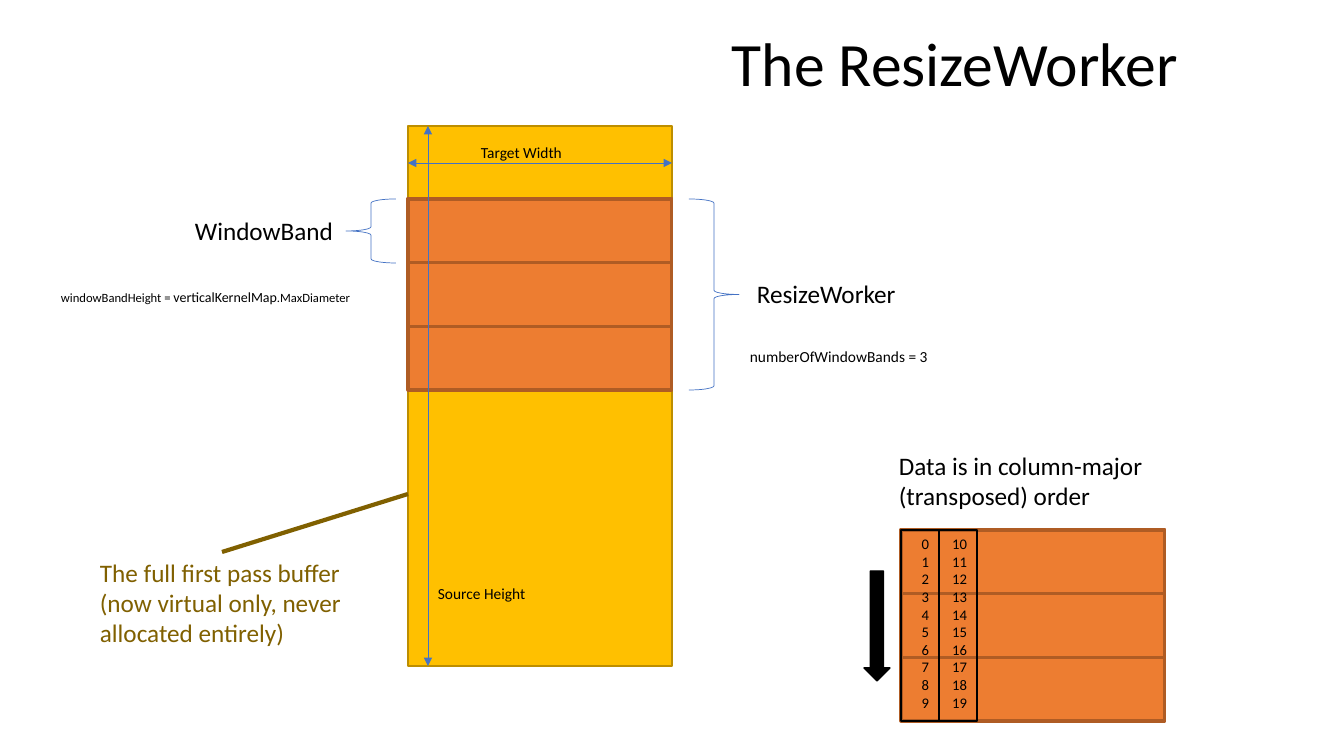
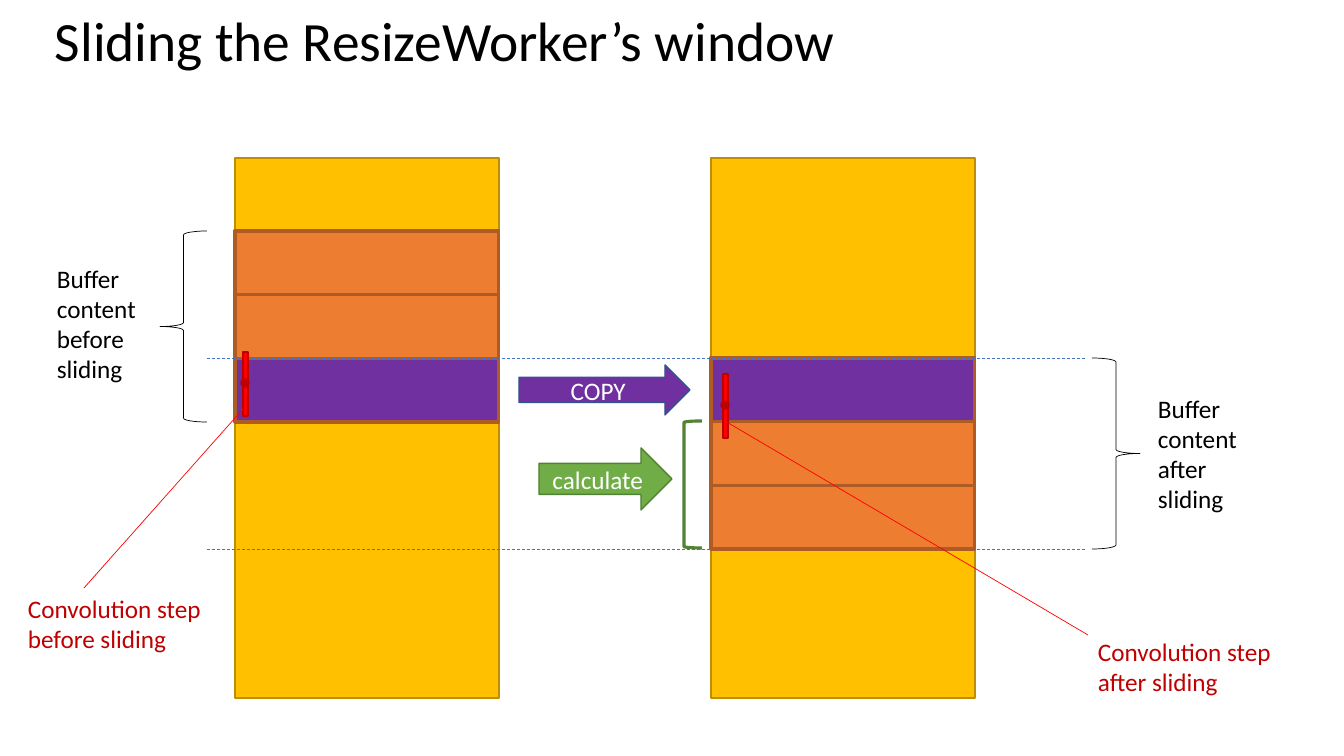
"""Build two slides that explain the ResizeWorker and its sliding window."""
from lxml.etree import SubElement
from pptx import Presentation
from pptx.dml.color import RGBColor
from pptx.enum.dml import MSO_LINE
from pptx.enum.shapes import MSO_CONNECTOR, MSO_SHAPE as Kind
from pptx.enum.text import MSO_ANCHOR as Anchor, MSO_AUTO_SIZE as Fit, PP_ALIGN as Align
from pptx.oxml.ns import qn
from pptx.util import Pt

SCALE = 914400 / 100.8
FONT = "Calibri"
BLACK, WHITE, RED, DARK_RED = "000000", "FFFFFF", "FF0000", "C00000"
GOLD, GOLD_EDGE, BROWN = "FFC000", "BD8E00", "806000"
ORANGE, ORANGE_EDGE, PURPLE = "ED7D31", "AF5C24", "7030A0"
BLUE, BLUE_EDGE = "4472C4", "325491"
GREEN, GREEN_EDGE, BRACKET_GREEN = "70AD47", "538035", "548235"

BUFFER_W, BUFFER_H, WINDOW_H = 264, 540, 191
BANDS = 3

WORKER_TITLE = ("The ResizeWorker", (722, 7, 587, 119), 44)
WORKER_BUFFER = (408, 126)
WORKER_WINDOW_Y = 199
WORKER_BRACES = [
    (Kind.RIGHT_BRACE, (689, 199, 50, WINDOW_H), BLUE, 0.5),
    (Kind.LEFT_BRACE, (346, 199, 50, 64), BLUE, 0.5),
]
WORKER_ARROWS = [((408, 163), (672, 163)), ((428, 126), (428, 666))]
WORKER_LABELS = [
    ([("ResizeWorker", 18)], (747, 273, 160, 40), BLACK, False),
    ([("WindowBand", 18)], (185, 210, 160, 40), BLACK, False),
    ([("Target Width", 11)], (471, 138, 103, 29), BLACK, False),
    ([("Source Height", 11)], (428, 579, 109, 29), BLACK, False),
    ([("numberOfWindowBands = 3", 11)], (740, 342, 200, 29), BLACK, False),
    ([("windowBandHeight = ", 9), ("verticalKernelMap", 10), (".MaxDiameter", 9)],
     (51, 284, 313, 27), BLACK, False),
    ([("Data is in column-major (transposed) order", 18)], (889, 445, 299, 72), BLACK, True),
    ([("The full first pass buffer\n(now virtual only, never allocated entirely)", 18)],
     (90, 552, 264, 102), BROWN, True),
]
BUFFER_POINTER = ((222, 552), (408, 494))
DATA_WINDOW = (901, 530)
DATA_COLUMNS, DATA_ROWS, DATA_COLUMN_W = 2, 10, 38
DATA_ARROW = (864, 571, 26, 110)

SLIDING_TITLE = ("Sliding the ResizeWorker’s window", (45, 8, 1159, 72), 39.6)
SLIDING_BUFFERS = [
    ((235, 158), 231, [ORANGE, ORANGE, PURPLE]),
    ((711, 158), 358, [PURPLE, ORANGE, ORANGE]),
]
GUIDES = [((207, y), (1085, y)) for y in (358, 549)]
SLIDING_BRACES = [
    (Kind.LEFT_BRACE, (160, 231, 47, WINDOW_H), BLACK, 0.5),
    (Kind.RIGHT_BRACE, (1092, 358, 48, WINDOW_H), BLACK, 0.5),
    (Kind.LEFT_BRACKET, (684, 421, 18, 127), BRACKET_GREEN, 2.25),
]
STEP_ARROWS = [
    ("COPY", (519, 365, 171, 50), PURPLE, BLUE_EDGE),
    ("calculate", (539, 448, 133, 62), GREEN, GREEN_EDGE),
]
KERNELS = [(243, 352), (723, 374)]
KERNEL_POINTERS = [((243, 409), (84, 588)), ((1088, 635), (725, 421))]
SLIDING_LABELS = [
    ([("Buffer content before sliding", 18)], (47, 258, 130, 132), BLACK, True),
    ([("Buffer content after sliding", 18)], (1148, 388, 130, 132), BLACK, True),
    ([("Convolution step before sliding", 18)], (18, 588, 214, 72), DARK_RED, True),
    ([("Convolution step after sliding", 18)], (1088, 631, 201, 72), DARK_RED, True),
]


def px(*lengths):
    return [round(length * SCALE) for length in lengths]


def rgb(colour):
    return RGBColor.from_string(colour)


def write(box, spans, colour, align=Align.LEFT, anchor=Anchor.TOP):
    frame = box.text_frame
    frame.vertical_anchor = anchor
    para = frame.paragraphs[0]
    para.alignment = align
    if len(spans) == 1:
        para.text = spans[0][0]
        sizes = [spans[0][1]] * len(para.runs)
    else:
        for text, _ in spans:
            para.add_run().text = text
        sizes = [size for _, size in spans]
    for span, size in zip(para.runs, sizes):
        span.font.name = FONT
        span.font.size = Pt(size)
        span.font.color.rgb = rgb(colour)
    return para


def add_label(shapes, spans, area, colour, wrap):
    box = shapes.add_textbox(*px(*area))
    box.text_frame.word_wrap = wrap
    box.text_frame.auto_size = Fit.SHAPE_TO_FIT_TEXT
    write(box, spans, colour)


def add_title(shapes, text, area, size):
    box = shapes.add_textbox(*px(*area))
    box.text_frame.word_wrap = True
    write(box, [(text, size)], BLACK, anchor=Anchor.MIDDLE).line_spacing = 0.9


def add_figure(shapes, kind, area, fill, edge, width):
    figure = shapes.add_shape(kind, *px(*area))
    figure.shadow.inherit = False
    if fill:
        figure.fill.solid()
        figure.fill.fore_color.rgb = rgb(fill)
    else:
        figure.fill.background()
    figure.line.color.rgb = rgb(edge)
    figure.line.width = Pt(width)
    return figure


def add_line(shapes, start, end, colour, width=0.5, dashed=False, arrows=False):
    line = shapes.add_connector(MSO_CONNECTOR.STRAIGHT, *px(*start, *end))
    line.line.color.rgb = rgb(colour)
    line.line.width = Pt(width)
    if dashed:
        line.line.dash_style = MSO_LINE.DASH
    if arrows:
        for tag in ("a:headEnd", "a:tailEnd"):
            SubElement(line.line._get_or_add_ln(), qn(tag), type="triangle")
    SubElement(line._element.spPr, qn("a:effectLst"))


def add_buffer(shapes, corner):
    add_figure(shapes, Kind.RECTANGLE, (*corner, BUFFER_W, BUFFER_H), GOLD, GOLD_EDGE, 1)


def add_window(shapes, x, y, colours):
    group = shapes.add_group_shape().shapes
    band_h = WINDOW_H / BANDS
    areas = [(x, y, BUFFER_W, WINDOW_H)]
    areas += [(x, y + band * band_h, BUFFER_W, band_h) for band in range(BANDS - 1)]
    for area, colour in zip(areas, [colours[-1], *colours]):
        add_figure(group, Kind.RECTANGLE, area, colour, ORANGE_EDGE, 2.25)
    return group


def add_kernel(shapes, x, y):
    group = shapes.add_group_shape().shapes
    add_figure(group, Kind.RECTANGLE, (x, y, 5, 64), RED, DARK_RED, 1)
    add_figure(group, Kind.OVAL, (x - 2, y + 27, 8, 8), DARK_RED, DARK_RED, 1)


def add_data(shapes, x, y):
    group = add_window(shapes, x, y, [ORANGE] * BANDS)
    for column in range(DATA_COLUMNS):
        area = (x + column * DATA_COLUMN_W, y, DATA_COLUMN_W, WINDOW_H)
        cell = add_figure(group, Kind.RECTANGLE, area, None, BLACK, 1.5)
        first = column * DATA_ROWS
        numbers = "\n".join(str(number) for number in range(first, first + DATA_ROWS))
        write(cell, [(numbers, 10.5)], BLACK, Align.RIGHT)
    add_figure(group, Kind.DOWN_ARROW, DATA_ARROW, BLACK, BLACK, 1)


def add_braces(shapes, braces):
    for kind, area, colour, width in braces:
        add_figure(shapes, kind, area, None, colour, width)


def build_worker(shapes):
    add_buffer(shapes, WORKER_BUFFER)
    add_window(shapes, WORKER_BUFFER[0], WORKER_WINDOW_Y, [ORANGE] * BANDS)
    add_braces(shapes, WORKER_BRACES)
    for start, end in WORKER_ARROWS:
        add_line(shapes, start, end, BLUE, arrows=True)
    add_title(shapes, *WORKER_TITLE)
    add_data(shapes, *DATA_WINDOW)
    for label in WORKER_LABELS:
        add_label(shapes, *label)
    add_line(shapes, *BUFFER_POINTER, BROWN, 3)


def build_sliding(shapes):
    for corner, window_y, colours in SLIDING_BUFFERS:
        add_buffer(shapes, corner)
        add_window(shapes, corner[0], window_y, colours)
    for start, end in GUIDES:
        add_line(shapes, start, end, BLUE, dashed=True)
    add_title(shapes, *SLIDING_TITLE)
    add_braces(shapes, SLIDING_BRACES)
    for text, area, fill, edge in STEP_ARROWS:
        arrow = add_figure(shapes, Kind.RIGHT_ARROW, area, fill, edge, 1)
        write(arrow, [(text, 18)], WHITE, Align.CENTER, Anchor.MIDDLE)
    for corner in KERNELS:
        add_kernel(shapes, *corner)
    for start, end in KERNEL_POINTERS:
        add_line(shapes, start, end, RED)
    for label in SLIDING_LABELS:
        add_label(shapes, *label)


deck = Presentation()
deck.slide_width, deck.slide_height = px(1344, 756)
for build in (build_worker, build_sliding):
    page = deck.slides.add_slide(deck.slide_layouts[6])
    build(page.shapes)
deck.save("out.pptx")
